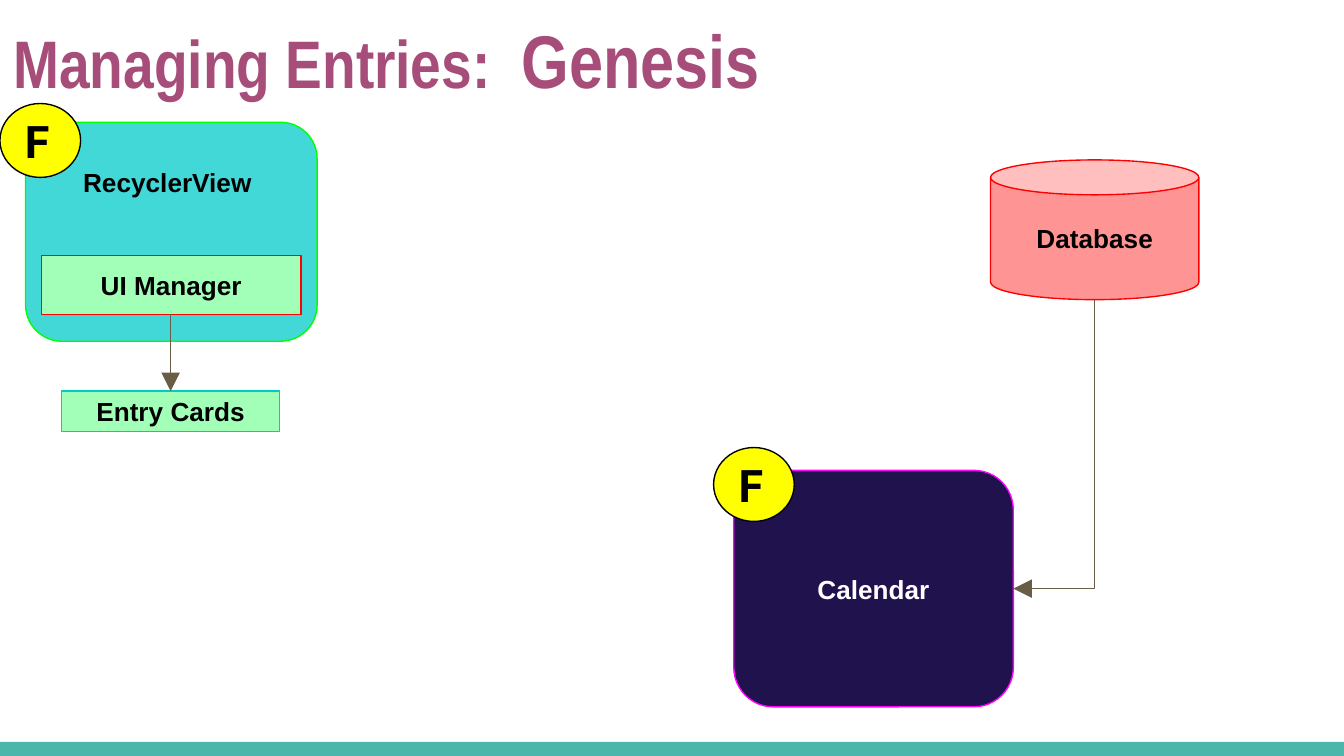
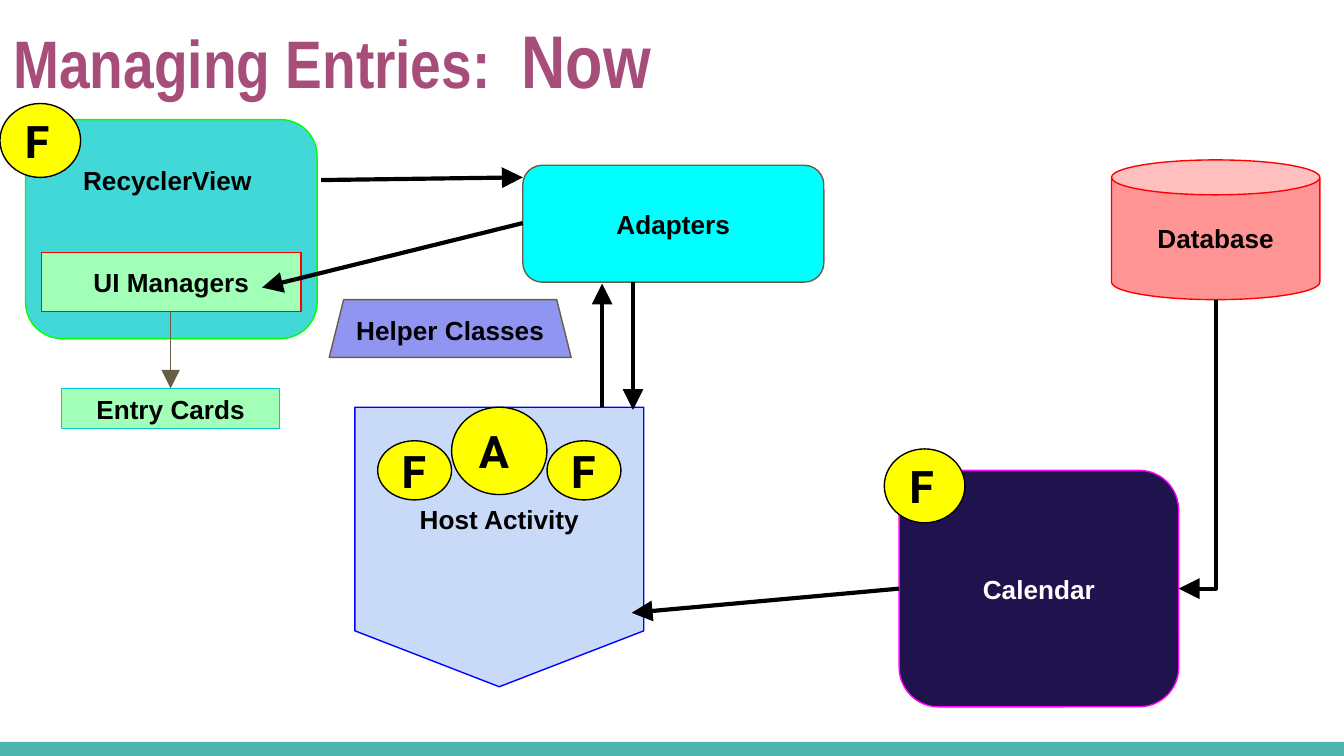
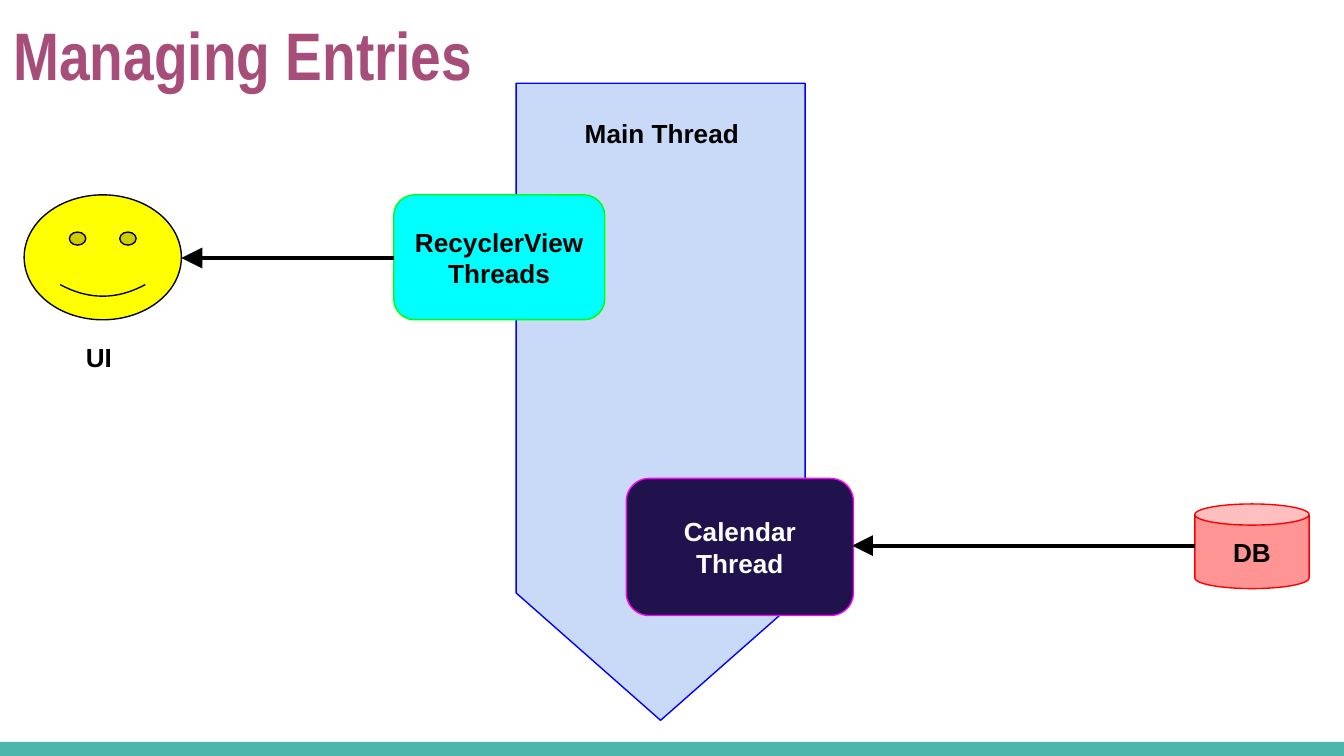
from lxml import etree
from pptx import Presentation
from pptx.dml.color import RGBColor
from pptx.enum.shapes import MSO_CONNECTOR, MSO_SHAPE
from pptx.enum.text import MSO_ANCHOR, MSO_AUTO_SIZE, PP_ALIGN
from pptx.oxml.ns import qn
from pptx.util import Inches, Pt

RECT, ROUND = MSO_SHAPE.RECTANGLE, MSO_SHAPE.ROUNDED_RECTANGLE
OVAL, CAN, SMILEY = MSO_SHAPE.OVAL, MSO_SHAPE.CAN, MSO_SHAPE.SMILEY_FACE
OFFPAGE, TRAPEZOID = MSO_SHAPE.FLOWCHART_OFFPAGE_CONNECTOR, MSO_SHAPE.TRAPEZOID
STRAIGHT, ELBOW = MSO_CONNECTOR.STRAIGHT, MSO_CONNECTOR.ELBOW
LEFT, CENTER = PP_ALIGN.LEFT, PP_ALIGN.CENTER
TOP, MIDDLE = MSO_ANCHOR.TOP, MSO_ANCHOR.MIDDLE
NO_FIT = MSO_AUTO_SIZE.NONE

BLACK, WHITE, YELLOW, RED = "000000", "FFFFFF", "FFFF00", "FF0000"
BROWN, TEAL, MINT, CYAN, LIME = "695D46", "00CBCB", "A1FFB8", "00FFFF", "00FF00"
NAVY, MAGENTA, PALE_BLUE, BLUE = "20124D", "FF00FF", "C9DAF8", "0000FF"
PINK, PERIWINKLE, PLUM, BAND = "FF7A7A", "626AEC", "A64D79", "4DB6AC"
BODY_FONT, TITLE_FONT, BADGE_FONT = "Arial", "Arial Narrow", "Roboto"
TITLE_ONLY = 5


def rgb(value):
    return RGBColor.from_string(value)


def format_span(span, size, color, font):
    span.font.size = Pt(size)
    span.font.name = font
    span.font.bold = True
    span.font.color.rgb = rgb(color)


def prepare_frame(frame, anchor):
    frame.word_wrap = True
    frame.auto_size = NO_FIT
    frame.vertical_anchor = anchor
    frame.margin_left = frame.margin_right = Inches(0.1)
    frame.margin_top = frame.margin_bottom = Inches(0.1)


def write_text(frame, text, color=BLACK, size=14, font=BODY_FONT,
               align=CENTER, anchor=MIDDLE):
    prepare_frame(frame, anchor)
    frame.text = text
    for para in frame.paragraphs:
        para.alignment = align
        for span in para.runs:
            format_span(span, size, color, font)


def add_box(holder, kind, box, fill, line=None, alpha=100):
    shape = holder.shapes.add_shape(kind, *map(Inches, box))
    shape.shadow.inherit = False
    shape.fill.solid()
    shape.fill.fore_color.rgb = rgb(fill)
    if alpha < 100:
        tint = shape.element.spPr.find(qn("a:solidFill"))[0]
        etree.SubElement(tint, qn("a:alpha")).set("val", str(alpha * 1000))
    if line:
        shape.line.color.rgb = rgb(line)
        shape.line.width = Pt(0.75)
    else:
        shape.line.fill.background()
    return shape


def add_label(holder, box, text, align=LEFT):
    label = holder.shapes.add_textbox(*map(Inches, box))
    write_text(label.text_frame, text, align=align, anchor=TOP)


def add_arrow(holder, start, end, color=BLACK, width=2.25, kind=STRAIGHT):
    arrow = holder.shapes.add_connector(kind, *map(Inches, (*start, *end)))
    arrow.line.color.rgb = rgb(color)
    arrow.line.width = Pt(width)
    line = arrow.element.spPr.find(qn("a:ln"))
    head = etree.SubElement(line, qn("a:tailEnd"))
    for name, value in (("type", "triangle"), ("w", "lg"), ("len", "lg")):
        head.set(name, value)
    etree.SubElement(arrow.element.spPr, qn("a:effectLst"))
    return arrow


def add_corner_arrow(page, start, end, color, width):
    across, down = start[0] - end[0], end[1] - start[1]
    left = (start[0] + end[0] - down) / 2
    top = (start[1] + end[1] - across) / 2
    arrow = add_arrow(page, (left, top), (left + down, top + across),
                      color, width, ELBOW)
    properties = arrow.element.spPr
    properties.find(qn("a:xfrm")).set("rot", "5400000")
    properties.find(qn("a:prstGeom")).set("prst", "bentConnector2")


def add_badge(page, left, top, letter="F", width=0.6, height=0.55):
    badge = add_box(page, OVAL, (left, top, width, height), YELLOW, BLACK)
    write_text(badge.text_frame, letter, size=24, font=BADGE_FONT, align=LEFT)


def add_recycler(page, left, top, manager_text):
    group = page.shapes.add_group_shape()
    add_box(group, ROUND, (left, top, 2.17, 1.63), TEAL, LIME, 74)
    manager = add_box(group, RECT, (left + 0.12, top + 0.99, 1.93, 0.44), MINT, RED)
    write_text(manager.text_frame, manager_text)
    add_label(group, (left + 0.33, top + 0.23, 1.55, 0.57), "RecyclerView")
    cards = add_box(group, RECT, (left + 0.27, top + 2, 1.62, 0.3), MINT, TEAL)
    write_text(cards.text_frame, "Entry Cards")
    center = left + 1.08
    add_arrow(group, (center, top + 1.43), (center, top + 2), BROWN, 0.75)


def add_calendar(page, box, text="Calendar"):
    calendar = add_box(page, ROUND, box, NAVY, MAGENTA)
    write_text(calendar.text_frame, text, WHITE)


def add_database(page, box, text="Database"):
    database = add_box(page, CAN, box, PINK, RED, 80)
    write_text(database.text_frame, text)


def add_storage(page, calendar_left, database_left, color, width):
    add_calendar(page, (calendar_left, 3.5, 2.08, 1.76))
    add_database(page, (database_left, 1.19, 1.55, 1.04))
    add_corner_arrow(page, (database_left + 1.55 / 2, 2.23),
                     (calendar_left + 2.08, 4.38), color, width)


def add_host(page, left, top):
    host = add_box(page, OFFPAGE, (left, top, 2.15, 2.08), PALE_BLUE, BLUE)
    write_text(host.text_frame, "Host Activity")
    add_badge(page, left + 0.72, top, "A", 0.71, 0.65)
    for offset in (1.43, 0.17):
        add_badge(page, left + offset, top + 0.25, "F", 0.55, 0.44)


def add_page(deck, *title_parts):
    page = deck.slides.add_slide(deck.slide_layouts[TITLE_ONLY])
    title = page.shapes.title
    title.left, title.top = Inches(0), Inches(0)
    title.width, title.height = Inches(9.32), Inches(0.77)
    prepare_frame(title.text_frame, TOP)
    para = title.text_frame.paragraphs[0]
    para.alignment = LEFT
    for text, size in zip(title_parts, (36, 40)):
        span = para.add_run()
        span.text = text
        format_span(span, size, PLUM, TITLE_FONT)
    return page


def add_shared_band(page):
    band = add_box(page, RECT, (0, 5.52, 10, 0.11), BAND)
    page.slide_layout.shapes.element.append(band.element)


def build_genesis(deck):
    page = add_page(deck, "Managing Entries:  ", "Genesis")
    add_shared_band(page)
    add_recycler(page, 0.19, 0.91, "UI Manager")
    add_storage(page, 5.46, 7.37, BROWN, 0.75)
    add_badge(page, 0, 0.77)
    add_badge(page, 5.31, 3.33)


def build_now(deck):
    page = add_page(deck, "Managing Entries:  ", "Now")
    add_recycler(page, 0.19, 0.89, "UI Managers")
    adapters = add_box(page, ROUND, (3.89, 1.23, 2.24, 0.87), CYAN, BROWN)
    write_text(adapters.text_frame, "Adapters")
    add_storage(page, 6.69, 8.27, BLACK, 2.25)
    add_badge(page, 0, 0.77)
    add_badge(page, 6.58, 3.34)
    add_host(page, 2.64, 3.03)
    for start, end in (
        ((6.69, 4.38), (4.7, 4.56)),
        ((3.89, 1.66), (1.95, 2.14)),
        ((2.39, 1.34), (3.89, 1.32)),
        ((4.48, 3.03), (4.48, 2.11)),
        ((4.71, 2.1), (4.71, 3.05)),
    ):
        add_arrow(page, start, end)
    helpers = add_box(page, TRAPEZOID, (2.45, 2.23, 1.8, 0.43), PERIWINKLE, BROWN, 71)
    write_text(helpers.text_frame, "Helper Classes")


def build_threads(deck):
    page = add_page(deck, "Managing Entries")
    add_database(page, (8.89, 3.75, 0.85, 0.63), "DB")
    add_box(page, OFFPAGE, (3.84, 0.62, 2.15, 4.74), PALE_BLUE, BLUE)
    recycler = add_box(page, ROUND, (2.93, 1.45, 1.57, 0.93), CYAN, LIME)
    write_text(recycler.text_frame, "RecyclerView\nThreads")
    add_calendar(page, (4.66, 3.56, 1.69, 1.02), "Calendar Thread")
    add_box(page, SMILEY, (0.18, 1.45, 1.17, 0.93), YELLOW, BLACK)
    add_arrow(page, (2.93, 1.92), (1.35, 1.92))
    add_arrow(page, (8.89, 4.06), (6.34, 4.06))
    add_label(page, (4.2, 0.77, 1.45, 0.35), "Main Thread", CENTER)
    add_label(page, (0.54, 2.44, 0.44, 0.35), "UI")


def main():
    deck = Presentation()
    deck.slide_width = Inches(10)
    deck.slide_height = Inches(10) * 9 // 16
    build_genesis(deck)
    build_now(deck)
    build_threads(deck)
    deck.save("out.pptx")


if __name__ == "__main__":
    main()
